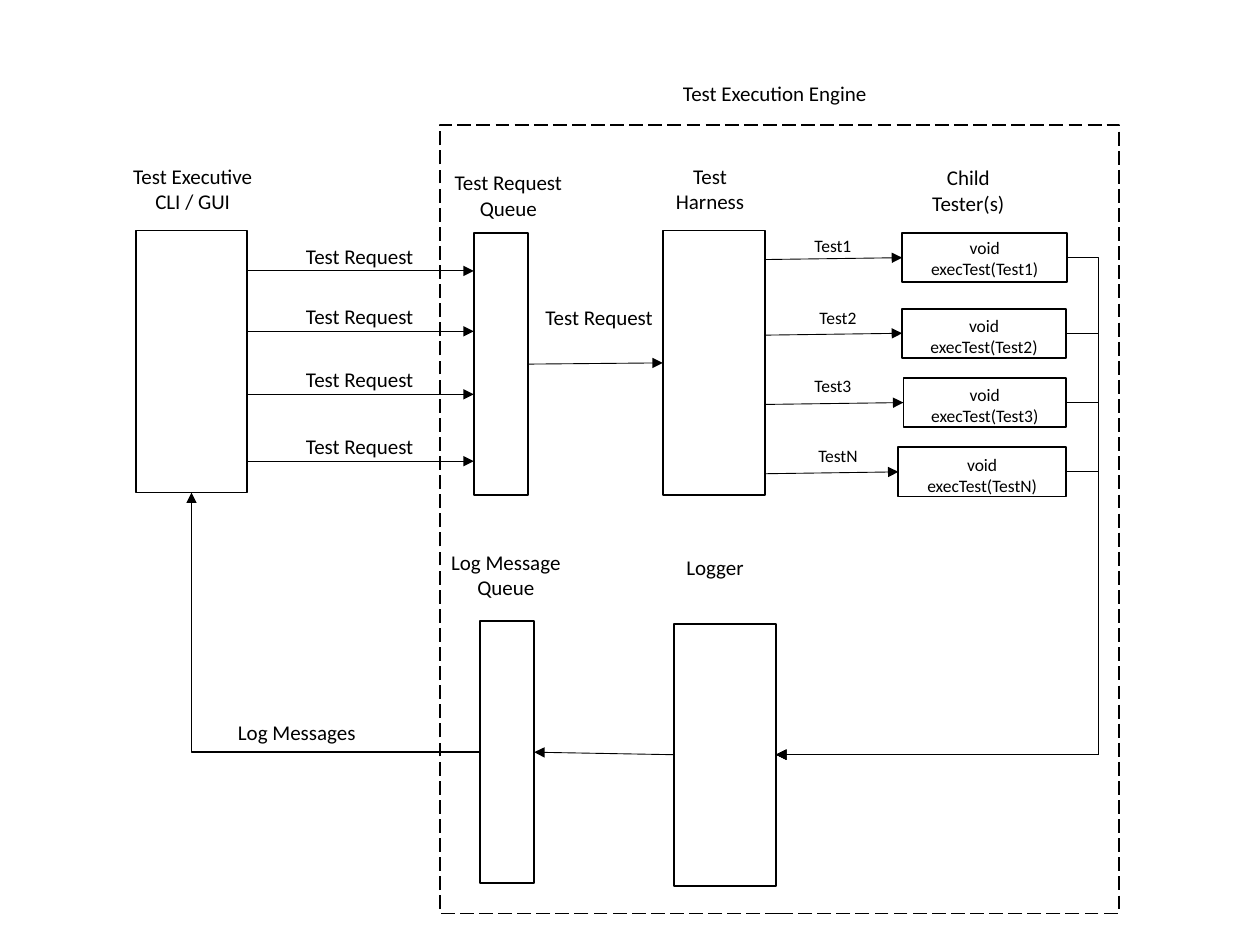
import collections

import lxml.etree
import pptx
import pptx.dml.color
import pptx.enum.dml
import pptx.enum.shapes
import pptx.enum.text
import pptx.oxml.ns
import pptx.util

Inches = pptx.util.Inches
Box = collections.namedtuple("Box", "left top width height")
CONNECTOR = pptx.enum.shapes.MSO_CONNECTOR
ALIGN = pptx.enum.text.PP_ALIGN
ANCHOR = pptx.enum.text.MSO_ANCHOR
TOP, LEFT, BOTTOM, RIGHT = range(4)
BLACK, WHITE = "000000", "FFFFFF"


def color(value):
    return pptx.dml.color.RGBColor.from_string(value)


def add_child(parent, tag, **attributes):
    return lxml.etree.SubElement(parent, pptx.oxml.ns.qn(tag), attributes)


def write(frame, text, size=12, align=ALIGN.CENTER):
    for index, line in enumerate(text.split("\n")):
        para = frame.paragraphs[0] if index == 0 else frame.add_paragraph()
        para.alignment = align
        span = para.add_run()
        span.text = line
        span.font.size = pptx.util.Pt(size)
        span.font.name = "Calibri"
        span.font.color.rgb = color(BLACK)


def add_label(page, box, text, wrap=True, **style):
    frame = page.shapes.add_textbox(*map(Inches, box)).text_frame
    frame.word_wrap = wrap
    frame.auto_size = pptx.enum.text.MSO_AUTO_SIZE.SHAPE_TO_FIT_TEXT
    write(frame, text, **style)


def add_rectangle(page, box, fill=None, dash=None):
    shape = page.shapes.add_shape(
        pptx.enum.shapes.MSO_SHAPE.RECTANGLE, *map(Inches, box))
    shape.shadow.inherit = False
    if fill:
        shape.fill.solid()
        shape.fill.fore_color.rgb = color(fill)
    else:
        shape.fill.background()
    shape.line.color.rgb = color(BLACK)
    shape.line.width = pptx.util.Pt(1)
    if dash:
        shape.line.dash_style = dash
    return shape


def add_arrow(page, start, end, kind=CONNECTOR.STRAIGHT, width=0.5):
    arrow = page.shapes.add_connector(kind, *map(Inches, start + end))
    arrow.line.color.rgb = color(BLACK)
    arrow.line.width = pptx.util.Pt(width)
    add_child(arrow.line._get_or_add_ln(), "a:tailEnd", type="triangle")
    add_child(arrow._element.spPr, "a:effectLst")
    return arrow


def join(page, source, source_side, target, target_side, **style):
    arrow = add_arrow(page, (0, 0), (1, 1), **style)
    arrow.begin_connect(source, source_side)
    arrow.end_connect(target, target_side)
    return arrow


def geometry(arrow):
    return arrow._element.spPr.find(pptx.oxml.ns.qn("a:prstGeom"))


def add_engine(page, box):
    add_rectangle(page, box, dash=pptx.enum.dml.MSO_LINE.LONG_DASH)
    add_label(page, Box(box.left + 1.79, box.top - 0.4, 1.74, 0.3),
              "Test Execution Engine")


def add_column(page, box, title, title_box, wrap=True):
    dx, dy, width, height = title_box
    add_label(page, Box(box.left + dx, box.top + dy, width, height),
              title, wrap=wrap)
    return add_rectangle(page, box)


def add_requests(page, box):
    for offset in (0, 0.48, 0.98, 1.51):
        y = box.top + offset
        add_arrow(page, (box.left, y), (box.left + box.width, y))
        add_label(page, Box(box.left + 0.37, y - 0.27, 1.07, 0.3),
                  "Test Request", wrap=False, align=ALIGN.LEFT)


def add_testers(page, box):
    rows = [
        ("Test1", 1.09, 0, 1.31, 0.23, -0.03),
        ("Test2", 1.09, 0.6, 1.3, 0.27, 0.54),
        ("Test3", 1.1, 1.15, 1.29, 0.23, 1.08),
        ("TestN", 1.06, 1.7, 1.33, 0.27, 1.63),
    ]
    add_label(page, Box(box.left + 0.97, box.top - 0.59, 1.29, 0.5),
              "Child\nTester(s)")
    testers = []
    for name, dx, dy, width, label_dx, label_dy in rows:
        tester = add_rectangle(
            page, Box(box.left + dx, box.top + dy, width, 0.39), fill=WHITE)
        frame = tester.text_frame
        frame.word_wrap = True
        frame.vertical_anchor = ANCHOR.TOP if testers else ANCHOR.MIDDLE
        write(frame, f"void execTest({name})", size=10)
        middle = box.top + dy + 0.2
        arrow = add_arrow(page, (box.left, middle + 0.01),
                          (box.left + dx, middle))
        arrow.end_connect(tester, LEFT)
        add_label(page, Box(box.left + label_dx, box.top + label_dy, 0.62, 0.27),
                  name, size=10)
        testers.append(tester)
    return testers


def add_log_lines(page, testers, logger, bus):
    for tester in testers:
        arrow = join(page, tester, RIGHT, logger, RIGHT, kind=CONNECTOR.ELBOW)
        right = tester.left + tester.width
        span = right - logger.left - logger.width
        ratio = round((right - Inches(bus)) / span * 100000)
        guides = geometry(arrow).get_or_add_avLst()
        add_child(guides, "a:gd", name="adj1", fmla=f"val {ratio}")


def add_log_return(page, box, log_queue, executive):
    arrow = join(page, log_queue, LEFT, executive, BOTTOM,
                 kind=CONNECTOR.ELBOW, width=0.75)
    geometry(arrow).set("prst", "bentConnector2")
    add_label(page, box, "Log Messages", wrap=False, align=ALIGN.LEFT)


def main():
    deck = pptx.Presentation()
    deck.slide_width, deck.slide_height = Inches(10), Inches(7.5)
    page = deck.slides.add_slide(deck.slide_layouts[6])

    engine = Box(3.49, 0.99, 5.39, 6.26)
    add_engine(page, engine)
    executive = add_column(page, Box(1.08, 1.83, 0.88, 2.08),
                           "Test Executive\nCLI / GUI",
                           (-0.15, -0.58, 1.2, 0.5), wrap=False)
    queue = add_column(page, Box(3.76, 1.85, 0.43, 2.08),
                       "Test Request Queue", (-0.31, -0.55, 1.17, 0.5))
    harness = add_column(page, Box(5.26, 1.83, 0.81, 2.1),
                         "Test\nHarness", (-0.27, -0.58, 1.29, 0.5))
    log_queue = add_column(page, Box(3.81, 4.93, 0.43, 2.08),
                           "Log Message Queue", (-0.38, -0.62, 1.17, 0.5))
    logger = add_column(page, Box(5.35, 4.95, 0.81, 2.08),
                        "Logger", (-0.26, -0.6, 1.17, 0.3))

    add_requests(page, Box(1.96, 2.15, 1.8, 1.51))
    join(page, queue, RIGHT, harness, LEFT)
    add_label(page, Box(4.23, 2.37, 1.07, 0.3), "Test Request",
              wrap=False, align=ALIGN.LEFT)
    testers = add_testers(page, Box(6.07, 1.85, 2.4, 2.09))
    add_log_lines(page, testers, logger, engine.left + engine.width - 0.16)
    join(page, logger, LEFT, log_queue, RIGHT)
    add_log_return(page, Box(1.79, 5.66, 1.15, 0.3), log_queue, executive)

    deck.save("out.pptx")


if __name__ == "__main__":
    main()
